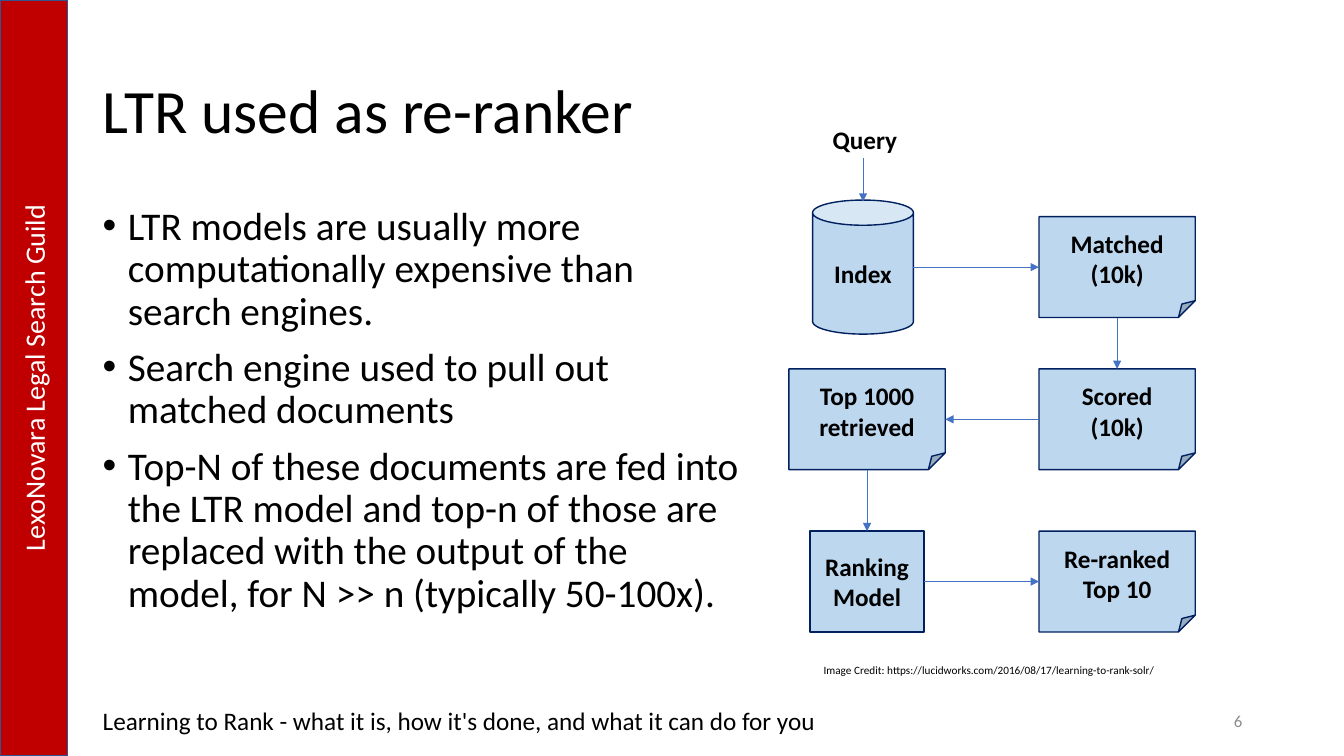
from lxml import etree
from pptx import Presentation
from pptx.dml.color import RGBColor
from pptx.enum.shapes import MSO_CONNECTOR, MSO_SHAPE as SHAPE
from pptx.enum.text import MSO_ANCHOR as ANCHOR, PP_ALIGN as ALIGN
from pptx.oxml.ns import qn
from pptx.util import Inches, Pt

COLORS = {"band": "C00000", "band_line": "325491", "box": "BDD7EE", "box_line": "002060",
          "arrow": "4472C4", "text": "000000", "white": "FFFFFF", "number": "8C8C8C"}
FONT = "Calibri"
BAND = "LexoNovara Legal Search Guild"
TITLE = "LTR used as re-ranker"
BULLETS = [
    "LTR models are usually more computationally expensive than search engines.",
    "Search engine used to pull out matched documents",
    "Top-N of these documents are fed into the LTR model and top-n of those are replaced "
    "with the output of the model, for N >> n (typically 50-100x).",
]
FOOTER = "Learning to Rank - what it is, how it's done, and what it can do for you"
NUMBER = "6"
CREDIT = "Image Credit: https://lucidworks.com/2016/08/17/learning-to-rank-solr/"

LEFT_COL, RIGHT_COL = 8.6, 11.08
ROWS = [2.65, 4.16, 5.77]
NOTE_SIZE = (1.55, 1)
BOXES = {
    "index": (SHAPE.CAN, 8.56, ROWS[0], (1, 1.33), ["Index"]),
    "matched": (SHAPE.FOLDED_CORNER, RIGHT_COL, ROWS[0], NOTE_SIZE, ["Matched (10k)"]),
    "scored": (SHAPE.FOLDED_CORNER, RIGHT_COL, ROWS[1], NOTE_SIZE, ["Scored", "(10k)"]),
    "top": (SHAPE.FOLDED_CORNER, LEFT_COL, ROWS[1], NOTE_SIZE, ["Top 1000", "retrieved"]),
    "reranked": (SHAPE.FOLDED_CORNER, RIGHT_COL, ROWS[2], NOTE_SIZE, ["Re-ranked", "Top 10"]),
    "model": (SHAPE.RECTANGLE, LEFT_COL, ROWS[2], (1.13, 1), ["Ranking Model"]),
}
TOP, LEFT, BOTTOM, RIGHT = range(4)
LINKS = [("matched", BOTTOM, "scored", TOP), ("scored", LEFT, "top", RIGHT),
         ("top", BOTTOM, "model", TOP), ("model", RIGHT, "reranked", LEFT)]


def rgb(name):
    return RGBColor.from_string(COLORS[name])


def write(s, lines, size, color="text", bold=False, align=ALIGN.LEFT,
          anchor=ANCHOR.TOP, wrap=True):
    tf = s.text_frame
    tf.word_wrap = wrap
    tf.vertical_anchor = anchor
    for i, line in enumerate(lines):
        p = tf.paragraphs[0] if i == 0 else tf.add_paragraph()
        p.add_run().text = line
        p.alignment = align
        p.font.name, p.font.size, p.font.bold = FONT, Pt(size), bold
        p.font.color.rgb = rgb(color)
    return tf


def add_text(slide, at, lines, size, **style):
    return write(slide.shapes.add_textbox(*map(Inches, at)), lines, size, **style)


def add_box(slide, kind, at, fill, line):
    s = slide.shapes.add_shape(kind, *map(Inches, at))
    s.shadow.inherit = False
    s.fill.solid()
    s.fill.fore_color.rgb = rgb(fill)
    s.line.color.rgb = rgb(line)
    s.line.width = Pt(1)
    return s


def add_arrow(slide, x1=0, y1=0, x2=0, y2=0):
    c = slide.shapes.add_connector(MSO_CONNECTOR.STRAIGHT, *map(Inches, (x1, y1, x2, y2)))
    c.line.color.rgb = rgb("arrow")
    c.line.width = Pt(0.5)
    etree.SubElement(c.line._get_or_add_ln(), qn("a:tailEnd"), type="triangle")
    etree.SubElement(c._element.spPr, qn("a:effectLst"))
    return c


def add_bullets(slide):
    tf = add_text(slide, (0.92, 2, 6.55, 4.76), BULLETS, 28)
    for i, p in enumerate(tf.paragraphs):
        p.line_spacing = 0.9
        if i:
            p.space_before = Pt(10)
        pPr = p._p.get_or_add_pPr()
        pPr.set("marL", str(Inches(0.25)))
        pPr.set("indent", str(Inches(-0.25)))
        font = etree.Element(qn("a:buFont"), typeface="Arial")
        bullet = etree.Element(qn("a:buChar"), char="•")
        defaults = pPr.find(qn("a:defRPr"))
        defaults.addprevious(font)
        defaults.addprevious(bullet)


def add_flow(slide):
    boxes = {}
    for name, (kind, x, y, (w, h), lines) in BOXES.items():
        s = add_box(slide, kind, (x - w / 2, y - h / 2, w, h), "box", "box_line")
        write(s, lines, 18, bold=True, align=ALIGN.CENTER, anchor=ANCHOR.MIDDLE)
        boxes[name] = s
    add_text(slide, (8.16, 1.18, 0.85, 0.4), ["Query"], 18, bold=True, wrap=False)
    add_arrow(slide, 8.56, 1.57, 8.56, 2)
    add_arrow(slide, 9.06, ROWS[0], 10.3, ROWS[0]).end_connect(boxes["matched"], LEFT)
    for start, start_side, end, end_side in LINKS:
        c = add_arrow(slide)
        c.begin_connect(boxes[start], start_side)
        c.end_connect(boxes[end], end_side)


def main():
    prs = Presentation()
    prs.slide_width, prs.slide_height = Inches(13.33), Inches(7.5)
    slide = prs.slides.add_slide(prs.slide_layouts[6])
    band = add_box(slide, SHAPE.RECTANGLE, (0, 0, 0.67, 7.5), "band", "band_line")
    tf = write(band, [BAND], 20, color="white", align=ALIGN.CENTER, anchor=ANCHOR.MIDDLE)
    tf._txBody.bodyPr.set("vert", "vert270")
    tf = add_text(slide, (0.92, 0.4, 11.5, 1.45), [TITLE], 44, anchor=ANCHOR.MIDDLE)
    tf.paragraphs[0].line_spacing = 0.9
    add_bullets(slide)
    add_text(slide, (0.92, 6.95, 7.38, 0.4), [FOOTER], 18)
    add_text(slide, (9.42, 6.95, 3, 0.4), [NUMBER], 12, color="number",
             align=ALIGN.RIGHT, anchor=ANCHOR.MIDDLE)
    add_flow(slide)
    add_text(slide, (8.07, 6.53, 3.52, 0.24), [CREDIT], 8, wrap=False)
    prs.save("out.pptx")


if __name__ == "__main__":
    main()
